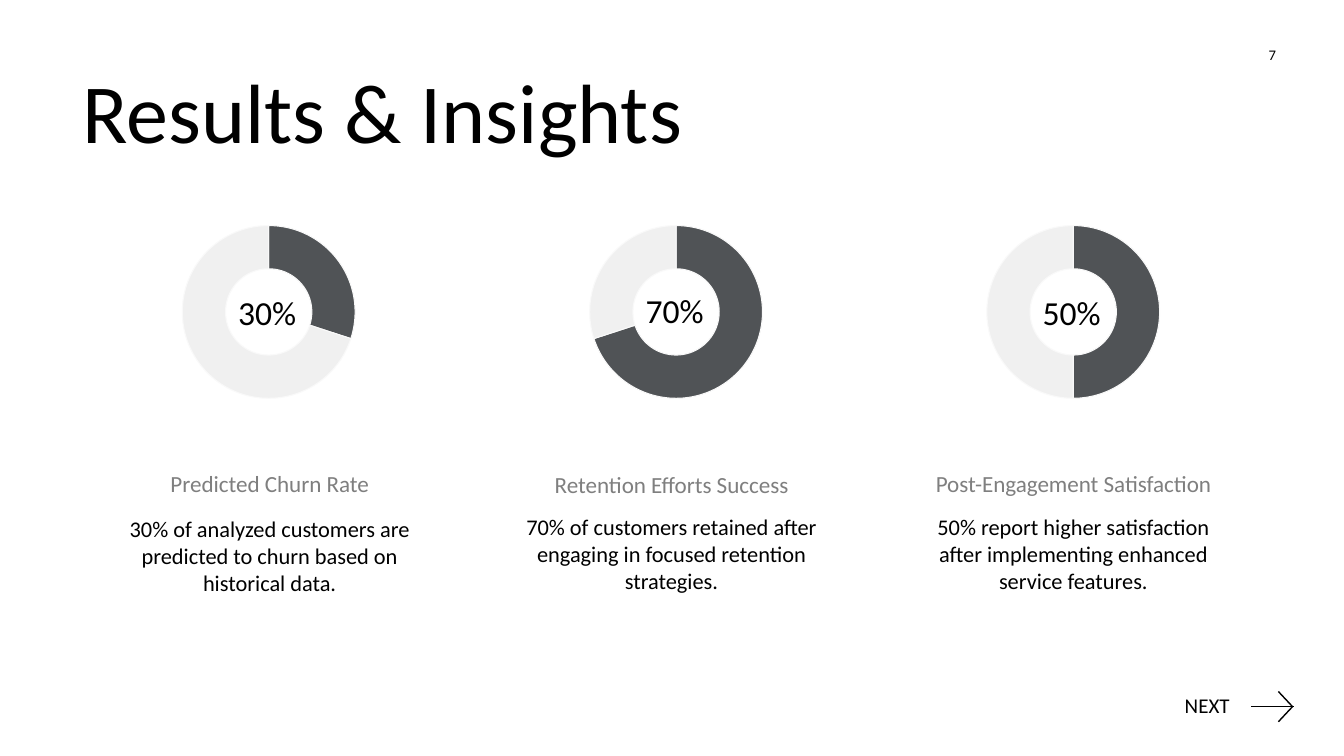
from dataclasses import dataclass
from typing import Any

from lxml import etree
from pptx import Presentation, util as u
from pptx.chart.data import CategoryChartData
from pptx.dml.color import RGBColor
from pptx.enum import chart as ch, shapes, text
from pptx.oxml import ns

WIDTH, HEIGHT = u.Inches(13.33), u.Inches(7.5)
FONT = "Calibri"
COLORS = {"ink": "000000", "muted": "7F7F7F", "share": "505356", "rest": "F0F0F0", "edge": "F9F9F9"}
LEFT, CENTER = text.PP_ALIGN.LEFT, text.PP_ALIGN.CENTER
TOP, MIDDLE, BOTTOM = text.MSO_ANCHOR.TOP, text.MSO_ANCHOR.MIDDLE, text.MSO_ANCHOR.BOTTOM
GROW, FIXED = text.MSO_AUTO_SIZE.SHAPE_TO_FIT_TEXT, text.MSO_AUTO_SIZE.NONE
COLUMN_LEFT, COLUMN_STEP, COLUMN_WIDTH = 7.5, 29.9, 25.13
DONUT_TOP, DONUT_WIDTH, DONUT_HEIGHT = 28, 14.93, 26.53
NEXT_FRAME = {"margin_left": u.Inches(0.04), "margin_right": u.Inches(0.04)}
NEXT_PARAGRAPH = {"line_spacing": 0.9, "space_before": u.Pt(6)}


@dataclass
class Box:
    """Rectangle in percent of the slide's width and height."""
    x: float
    y: float
    w: float
    h: float

    def emu(self) -> tuple[int, int, int, int]:
        """Return left, top, width and height in EMU."""
        return across(self.x), down(self.y), across(self.w), down(self.h)


@dataclass
class Label:
    """One text box and its format."""
    words: str
    box: Box
    size: float
    align: Any = CENTER
    anchor: Any = TOP
    color: str = "ink"
    fit: Any = GROW


@dataclass
class Insight:
    """One result: its donut, percentage, heading and explanation."""
    percent: int
    donut_left: float
    number_top: float
    heading: str
    heading_top: float
    detail: str
    detail_top: float


@dataclass
class Stroke:
    """Straight line between two points in percent of the slide."""
    x1: float
    y1: float
    x2: float
    y2: float


INSIGHTS = [
    Insight(30, 12.53, 38, "Predicted Churn Rate", 55.6,
            "30% of analyzed customers are predicted to churn based on historical data.", 67.47),
    Insight(70, 42.84, 37.73, "Retention Efforts Success", 55.73,
            "70% of customers retained after engaging in focused retention strategies.", 67.2),
    Insight(50, 72.39, 38, "Post-Engagement Satisfaction", 55.6,
            "50% report higher satisfaction after implementing enhanced service features.", 67.2),
]
ARROW = [
    Stroke(93.1, 93.47, 96.25, 93.47),
    Stroke(95.12, 91.47, 96.17, 93.47),
    Stroke(95.12, 95.47, 96.17, 93.47),
]
TITLE = Label("Results & Insights", Box(5.4, 7.2, 85.67, 19.2), 60, LEFT)
PAGE = Label("7", Box(93.17, 4.67, 3, 5.2), 10.5, anchor=MIDDLE, fit=FIXED)
NEXT = Label("NEXT", Box(87.85, 91.33, 6.23, 4.4), 15, LEFT)


def across(share: float) -> int:
    """Convert percent of the slide's width to EMU."""
    return round(WIDTH * share / 100)


def down(share: float) -> int:
    """Convert percent of the slide's height to EMU."""
    return round(HEIGHT * share / 100)


def rgb(name: str) -> RGBColor:
    """Look up a named colour."""
    return RGBColor.from_string(COLORS[name])


def assign(target: Any, values: dict[str, Any]) -> None:
    """Set attributes from a dict of format values."""
    for key, value in values.items():
        setattr(target, key, value)


def style_font(font: Any, size: float, color: str) -> None:
    """Apply the slide's typeface with a size and colour."""
    assign(font, {"name": FONT, "size": u.Pt(size)})
    font.color.rgb = rgb(color)


def draw_label(s: Any, label: Label, frame: dict[str, Any] = {}, paragraph: dict[str, Any] = {}) -> None:
    """Draw one text box."""
    tf = s.shapes.add_textbox(*label.box.emu()).text_frame
    assign(tf, {"word_wrap": True, "auto_size": label.fit, "vertical_anchor": label.anchor, **frame})
    p = tf.paragraphs[0]
    assign(p, {"alignment": label.align, **paragraph})
    r = p.add_run()
    r.text = label.words
    style_font(r.font, label.size, label.color)


def draw_donut(s: Any, insight: Insight) -> None:
    """Draw the doughnut chart of one result."""
    data = CategoryChartData()
    data.categories = ["1", "2"]
    data.add_series("Series 1", (insight.percent, 100 - insight.percent))
    box = Box(insight.donut_left, DONUT_TOP, DONUT_WIDTH, DONUT_HEIGHT)
    chart = s.shapes.add_chart(ch.XL_CHART_TYPE.DOUGHNUT, *box.emu(), data).chart
    assign(chart, {"has_legend": False, "has_title": False})
    style_font(chart.font, 10, "ink")
    plot = chart.plots[0]
    plot.vary_by_categories = True
    for hole in chart.element.iter(ns.qn("c:holeSize")):
        hole.set("val", "90")
    for i, color in enumerate(("share", "rest")):
        fmt = plot.series[0].points[i].format
        fmt.fill.solid()
        fmt.fill.fore_color.rgb = rgb(color)
        fmt.line.color.rgb = rgb("edge")
        fmt.line.width = u.Pt(0.75)


def draw_arrow(s: Any) -> None:
    """Draw the grouped strokes of the arrow."""
    group = s.shapes.add_group_shape()
    for k in ARROW:
        sp = group.shapes.add_connector(
            shapes.MSO_CONNECTOR.STRAIGHT, across(k.x1), down(k.y1), across(k.x2), down(k.y2))
        sp.line.color.rgb = rgb("ink")
        sp.line.width = u.Pt(1)
        etree.SubElement(sp.element.spPr, ns.qn("a:effectLst"))


def draw_insight(s: Any, column: int, insight: Insight) -> None:
    """Draw the labels of one result."""
    left = COLUMN_LEFT + column * COLUMN_STEP
    number = Box(insight.donut_left + 3.6, insight.number_top, 7.5, 6.67)
    heading = Box(left, insight.heading_top, COLUMN_WIDTH, 10.8)
    detail = Box(left, insight.detail_top, COLUMN_WIDTH, 19.2)
    draw_label(s, Label(f"{insight.percent}%", number, 24, anchor=MIDDLE))
    draw_label(s, Label(insight.heading, heading, 16.5, anchor=BOTTOM, color="muted"))
    draw_label(s, Label(insight.detail, detail, 16))


def main() -> None:
    """Build and save the slide."""
    prs = Presentation()
    assign(prs, {"slide_width": WIDTH, "slide_height": HEIGHT})
    s = prs.slides.add_slide(prs.slide_layouts[6])
    draw_arrow(s)
    draw_label(s, NEXT, NEXT_FRAME, NEXT_PARAGRAPH)
    for insight in INSIGHTS:
        draw_donut(s, insight)
    draw_label(s, PAGE)
    draw_label(s, TITLE)
    for column, insight in enumerate(INSIGHTS):
        draw_insight(s, column, insight)
    prs.save("out.pptx")


if __name__ == "__main__":
    main()
